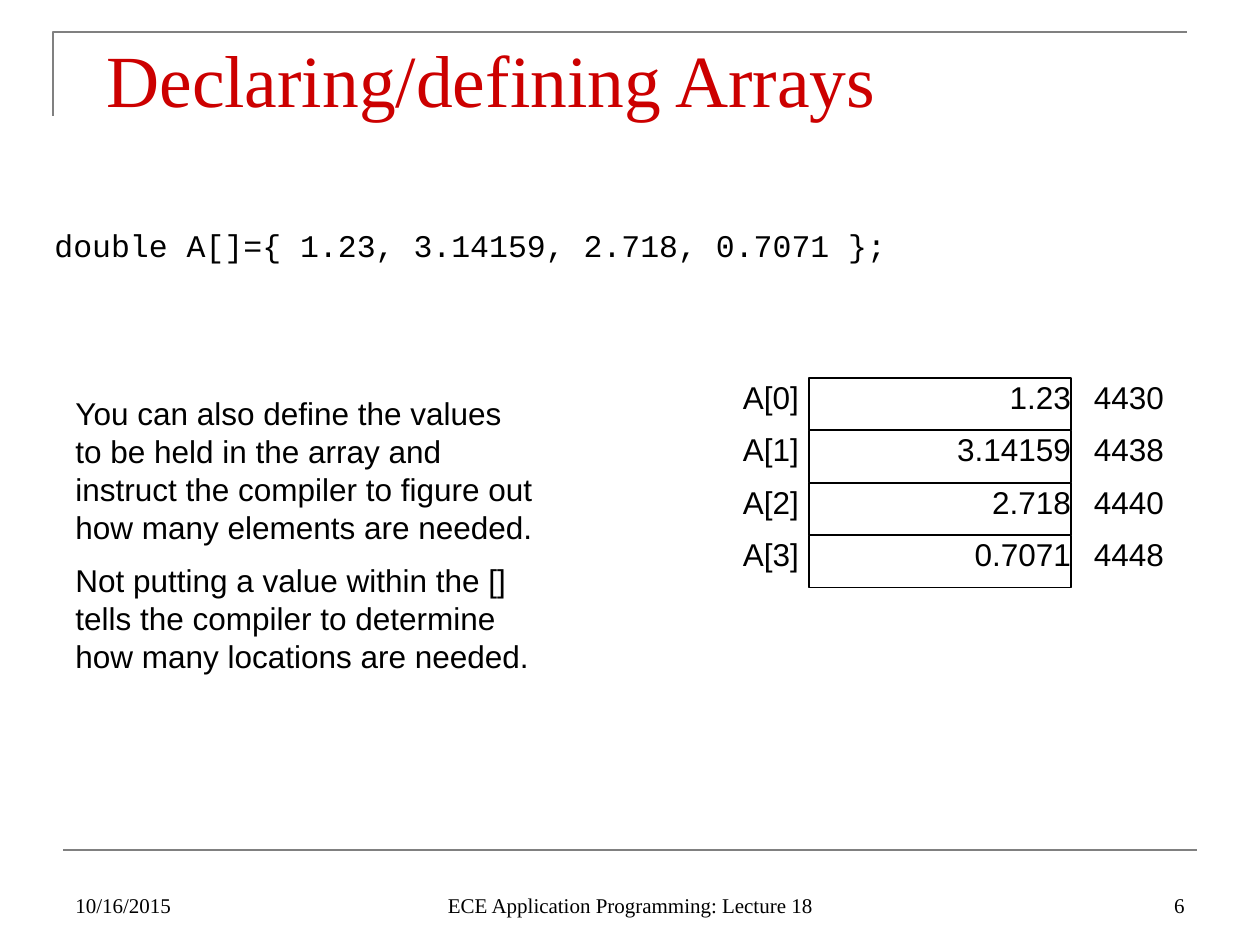
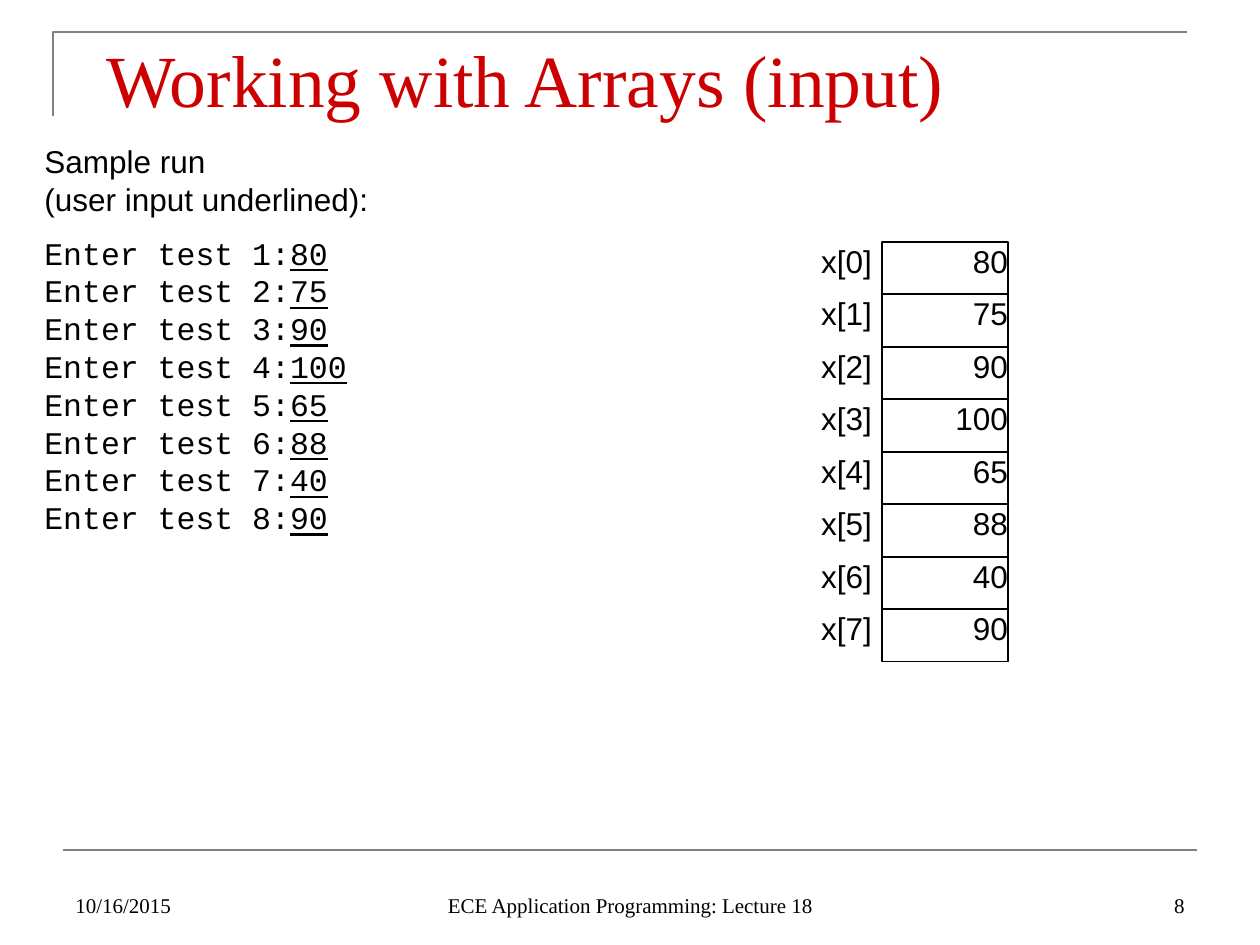
from dataclasses import dataclass
from lxml.etree import SubElement
from pptx import Presentation
from pptx.dml.color import RGBColor
from pptx.enum.shapes import MSO_CONNECTOR, MSO_SHAPE
from pptx.enum.text import MSO_ANCHOR, PP_ALIGN
from pptx.oxml.ns import qn
from pptx.util import Pt

DATE = "10/16/2015"
FOOTER = "ECE Application Programming: Lecture 18"
SCORES = ["80", "75", "90", "100", "65", "88", "40", "90"]


@dataclass(frozen=True)
class Theme:
    title: RGBColor = RGBColor(0xCC, 0x00, 0x00)
    ink: RGBColor = RGBColor(0x00, 0x00, 0x00)
    rule: RGBColor = RGBColor(0x80, 0x80, 0x80)
    serif: str = "Times New Roman"
    sans: str = "Arial"
    mono: str = "Courier New"
    title_pt: int = 42
    body_pt: int = 18
    footer_pt: int = 12
    leading_pt: float = 21.6
    para_gap_pt: int = 9


T = Theme()

# A paragraph is (font, lines); a line is a list of (text, underlined) parts.
SLIDES = [
    {
        "title": "Declaring/defining Arrays",
        "number": "6",
        "texts": [
            ((63, 388, 483, 490), [
                (T.sans, [[("You can also define the values to be held in the array and "
                            "instruct the compiler to figure out how many elements are "
                            "needed.", False)]]),
                (T.sans, [[("Not putting a value within the [] tells the compiler to "
                            "determine how many locations are needed.", False)]]),
            ]),
            ((42, 220, 1144, 63), [
                (T.mono, [[("double A[]={ 1.23, 3.14159, 2.718, 0.7071 };", False)]]),
            ]),
        ],
        "array": {"name": "A", "left": 683, "top": 378, "cell_width": 262,
                  "values": ["1.23", "3.14159", "2.718", "0.7071"],
                  "addresses": ["4430", "4438", "4440", "4448"]},
    },
    {
        "title": "Working with Arrays (input)",
        "number": "8",
        "texts": [
            ((32, 136, 504, 667), [
                (T.sans, [[("Sample run", False)], [("(user input underlined):", False)]]),
                (T.mono, [[(f"Enter test {n}:", False), (score, True)]
                          for n, score in enumerate(SCORES, 1)]),
            ]),
        ],
        "array": {"name": "x", "left": 756, "top": 242, "cell_width": 126,
                  "values": SCORES, "addresses": []},
    },
]

SLIDE_W, SLIDE_H = 1260, 945
LABEL_W, LABEL_H, LABEL_GAP = 116, 50, 10
CELL_H, ROW_PITCH = 52, 52.5


def px(n):
    return round(n * 914400 / 126)


def style(font, name, size, color=T.ink):
    font.name, font.size, font.color.rgb = name, Pt(size), color


def frame(sp, anchor=MSO_ANCHOR.TOP, inset=None):
    tf = sp.text_frame
    tf.word_wrap = True
    tf.vertical_anchor = anchor
    if inset is not None:
        tf.margin_left = tf.margin_right = tf.margin_top = tf.margin_bottom = px(inset)
    return tf


def add_box(slide, box):
    return slide.shapes.add_textbox(*map(px, box))


def write(tf, text, name, size, color=T.ink, align=PP_ALIGN.LEFT):
    p = tf.paragraphs[0]
    p.text = text
    p.alignment = align
    style(p.runs[0].font, name, size, color)
    return p


def add_frame_lines(slide):
    """Draw the corner bracket round the title and the rule above the footer."""
    fb = slide.shapes.build_freeform(px(53), px(116))
    fb.add_line_segments([(px(53), px(32)), (px(1187), px(32))], close=False)
    bracket = fb.convert_to_shape()
    bracket.shadow.inherit = False
    bracket.fill.background()
    rule = slide.shapes.add_connector(
        MSO_CONNECTOR.STRAIGHT, px(63), px(850), px(1197), px(850))
    SubElement(rule._element.spPr, qn("a:effectLst"))
    for sp in (bracket, rule):
        sp.line.color.rgb = T.rule
        sp.line.width = Pt(1.5)


def add_title(slide, text):
    tf = frame(add_box(slide, (94, 21, 1071, 73)))
    tf.margin_top = px(13)
    write(tf, text, T.serif, T.title_pt, T.title)


def add_footer(slide, number):
    for left, width, text, align in [(63, 294, DATE, PP_ALIGN.LEFT),
                                     (903, 294, number, PP_ALIGN.RIGHT),
                                     (431, 399, FOOTER, PP_ALIGN.CENTER)]:
        tf = frame(add_box(slide, (left, 861, width, 63)), MSO_ANCHOR.BOTTOM)
        write(tf, text, T.serif, T.footer_pt, align=align)


def add_text(slide, box, paragraphs):
    tf = frame(add_box(slide, box))
    for i, (name, lines) in enumerate(paragraphs):
        p = tf.add_paragraph() if i else tf.paragraphs[0]
        p.line_spacing = Pt(T.leading_pt)
        if i:
            p.space_before = Pt(T.para_gap_pt)
        for j, line in enumerate(lines):
            if j:
                p.add_line_break()
            for text, underlined in line:
                r = p.add_run()
                r.text = text
                style(r.font, name, T.body_pt)
                if underlined:
                    r.font.underline = True


def add_entry(sp, text, align):
    p = write(frame(sp, inset=0), text, T.sans, T.body_pt, align=align)
    p.line_spacing = Pt(T.leading_pt)


def add_array(slide, name, left, top, cell_width, values, addresses):
    """Draw an array as a column of cells, with indexes left and addresses right."""
    cell_left = left + LABEL_W + LABEL_GAP
    for i, value in enumerate(values):
        y = top + i * ROW_PITCH
        add_entry(add_box(slide, (left, y, LABEL_W, LABEL_H)),
                  f"{name}[{i}]", PP_ALIGN.RIGHT)
        cell = slide.shapes.add_shape(
            MSO_SHAPE.RECTANGLE, *map(px, (cell_left, y, cell_width, CELL_H)))
        cell.shadow.inherit = False
        cell.fill.background()
        cell.line.color.rgb = T.ink
        cell.line.width = Pt(0.75)
        add_entry(cell, value, PP_ALIGN.RIGHT)
    for i, address in enumerate(addresses):
        box = (cell_left + cell_width, top + i * ROW_PITCH, LABEL_W, LABEL_H)
        add_entry(add_box(slide, box), address, PP_ALIGN.CENTER)


def main():
    prs = Presentation()
    prs.slide_width, prs.slide_height = px(SLIDE_W), px(SLIDE_H)
    for content in SLIDES:
        slide = prs.slides.add_slide(prs.slide_layouts[6])
        add_frame_lines(slide)
        add_title(slide, content["title"])
        add_array(slide, **content["array"])
        for box, paragraphs in content["texts"]:
            add_text(slide, box, paragraphs)
        add_footer(slide, content["number"])
    prs.save("out.pptx")


if __name__ == "__main__":
    main()
